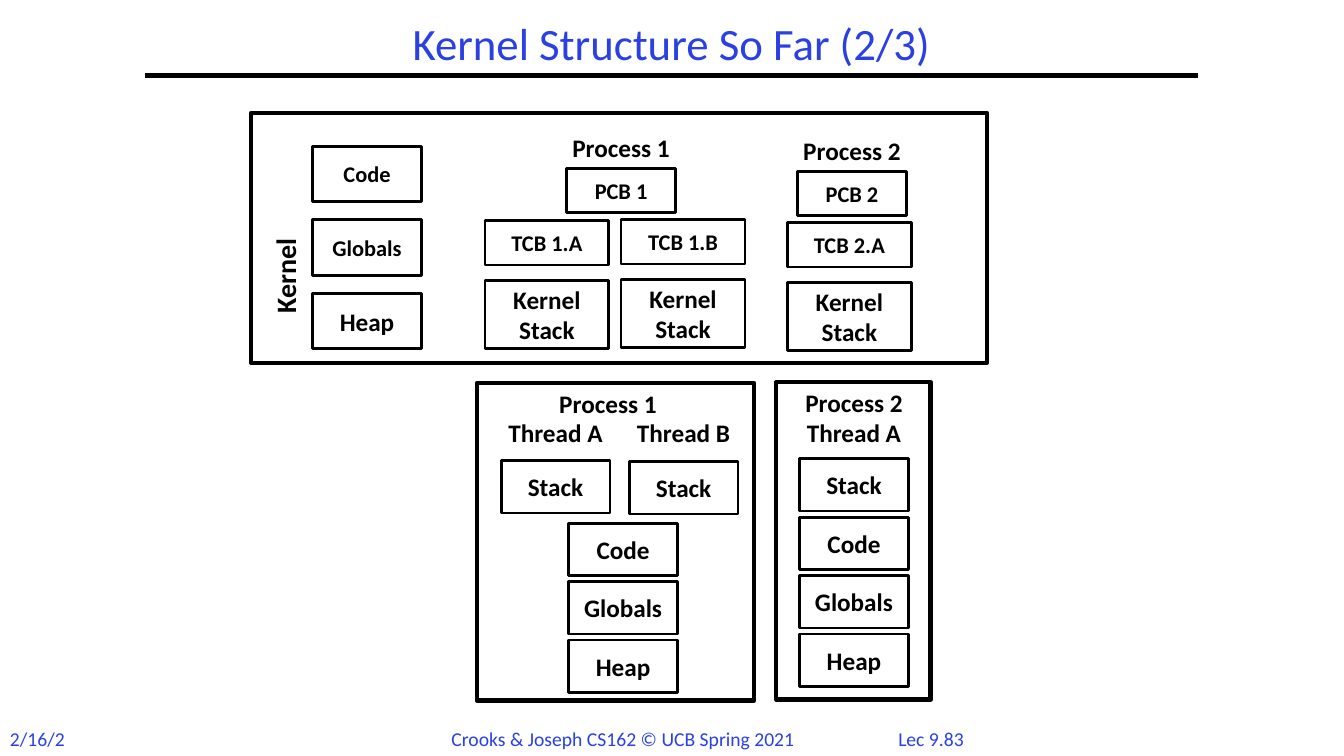
from lxml import etree
from pptx import Presentation
from pptx.dml.color import RGBColor
from pptx.enum.shapes import MSO_CONNECTOR, MSO_SHAPE
from pptx.enum.text import MSO_ANCHOR, PP_ALIGN
from pptx.oxml.ns import qn
from pptx.util import Inches, Pt

RECT, LINE = MSO_SHAPE.RECTANGLE, MSO_CONNECTOR.STRAIGHT
MID, TOP = MSO_ANCHOR.MIDDLE, MSO_ANCHOR.TOP
CENTER, LEFT = PP_ALIGN.CENTER, PP_ALIGN.LEFT
HUES = {"ink": "000000", "blue": "2A40E2"}
FONT = "Calibri"
WIDE, HIGH = 13.33, 7.5
CELL, STEP = 1.08, 0.58  # width of a memory cell, pitch of stacked cells


def hue(name):
    return RGBColor.from_string(HUES[name])


def write(shape, text, size, color="ink", bold=True, align=CENTER, anchor=MID):
    frame = shape.text_frame
    frame.text = text
    frame.vertical_anchor = anchor
    for para in frame.paragraphs:
        para.alignment = align
        for run in para.runs:
            font = run.font
            font.name, font.size, font.bold = FONT, Pt(size), bold
            font.color.rgb = hue(color)
    return frame


def cell(slide, x, y, w, h, text="", size=18, line=2):
    shape = slide.shapes.add_shape(RECT, *map(Inches, (x, y, w, h)))
    shape.shadow.inherit = False
    shape.fill.background()
    shape.line.color.rgb = hue("ink")
    shape.line.width = Pt(line)
    if text:
        write(shape, text, size).word_wrap = True


def label(slide, mid, y, text, size=18, w=1.4, h=0.4):
    """Place bold text centred on the x position mid."""
    box = slide.shapes.add_textbox(*map(Inches, (mid - w / 2, y, w, h)))
    write(box, text, size, anchor=TOP).word_wrap = False
    return box


def header(slide, x, y, w, h):
    title = slide.shapes.title
    title.left, title.top, title.width, title.height = map(Inches, (x, y, w, h))
    frame = write(title, "Kernel Structure So Far (2/3)", 32, "blue", False)
    frame.paragraphs[0].line_spacing = 0.9
    ends = map(Inches, (x, y + h, x + w, y + h))
    rule = slide.shapes.add_connector(LINE, *ends)
    rule.line.color.rgb = hue("ink")
    rule.line.width = Pt(3)
    etree.SubElement(rule._element.spPr, qn("a:effectLst"))


def footer(slide, y, h):
    parts = [
        (0, 0.8, "2/16/21", LEFT),
        (4.38, 3.76, "Crooks & Joseph CS162 © UCB Spring 2021", LEFT),
        (8.75, 0.97, "Lec 9.83", CENTER),
    ]
    for x, w, text, align in parts:
        box = slide.shapes.add_textbox(*map(Inches, (x, y, w, h)))
        frame = write(box, text, 14, "blue", False, align, TOP)
        frame.word_wrap = True


def blocks(slide, mid, y, num, tasks):
    """Draw the control blocks of one process, with a kernel stack per task."""
    label(slide, mid, y, f"Process {num}")
    cell(slide, mid - CELL / 2, y + 0.41, CELL, 0.44, f"PCB {num}", 16)
    for name, x, top in tasks:
        cell(slide, x, top, 1.23, 0.44, f"TCB {num}.{name}", 16)
        cell(slide, x, top + 0.59, 1.23, 0.68, "Kernel\vStack")


def kernel(slide, x, y, w, h):
    cell(slide, x, y, w, h, line=3)
    label(slide, x + 0.32, y + 1.42, "Kernel", 20).rotation = 270
    for row, (text, size) in enumerate([("Code", 16), ("Globals", 16), ("Heap", 18)]):
        cell(slide, x + 0.61, y + 0.33 + row * 0.73, CELL, 0.55, text, size)
    top = y + 1.07
    blocks(slide, x + 3.67, y + 0.14, 1,
           [("A", x + 2.32, top), ("B", x + 3.67, top - 0.01)])
    blocks(slide, x + 5.96, y + 0.17, 2, [("A", x + 5.32, top + 0.02)])


def process(slide, x, y, w, h, head, mid, stacks, left, top):
    """Draw a process: a stack for each thread over its shared memory."""
    cell(slide, x, y, w, h, line=3)
    label(slide, x + mid, y, head, h=0.4 + 0.3 * head.count("\v"))
    for name, dx, dy in stacks:
        if name:
            label(slide, x + dx + CELL / 2, y + 0.29, name)
        cell(slide, x + dx, y + dy, CELL, 0.52, "Stack")
    for row, text in enumerate(["Code", "Globals", "Heap"]):
        cell(slide, x + left, y + top + row * STEP, CELL, 0.52, text)


def main():
    deck = Presentation()
    deck.slide_width, deck.slide_height = Inches(WIDE), Inches(HIGH)
    slide = deck.slides.add_slide(deck.slide_layouts[5])
    header(slide, 1.44, 0.17, 10.44, 0.58)
    kernel(slide, 2.49, 1.12, 7.3, 2.48)
    process(slide, 4.73, 3.8, 2.75, 3.15, "Process 1", 1.3,
            [("Thread A", 0.24, 0.77), ("Thread B", 1.51, 0.78)], 0.91, 1.39)
    process(slide, 7.7, 3.79, 1.53, 3.15, "Process 2\vThread A", 0.77,
            [("", 0.23, 0.76)], 0.23, 1.34)
    footer(slide, 7.16, 0.34)
    deck.save("out.pptx")


if __name__ == "__main__":
    main()
